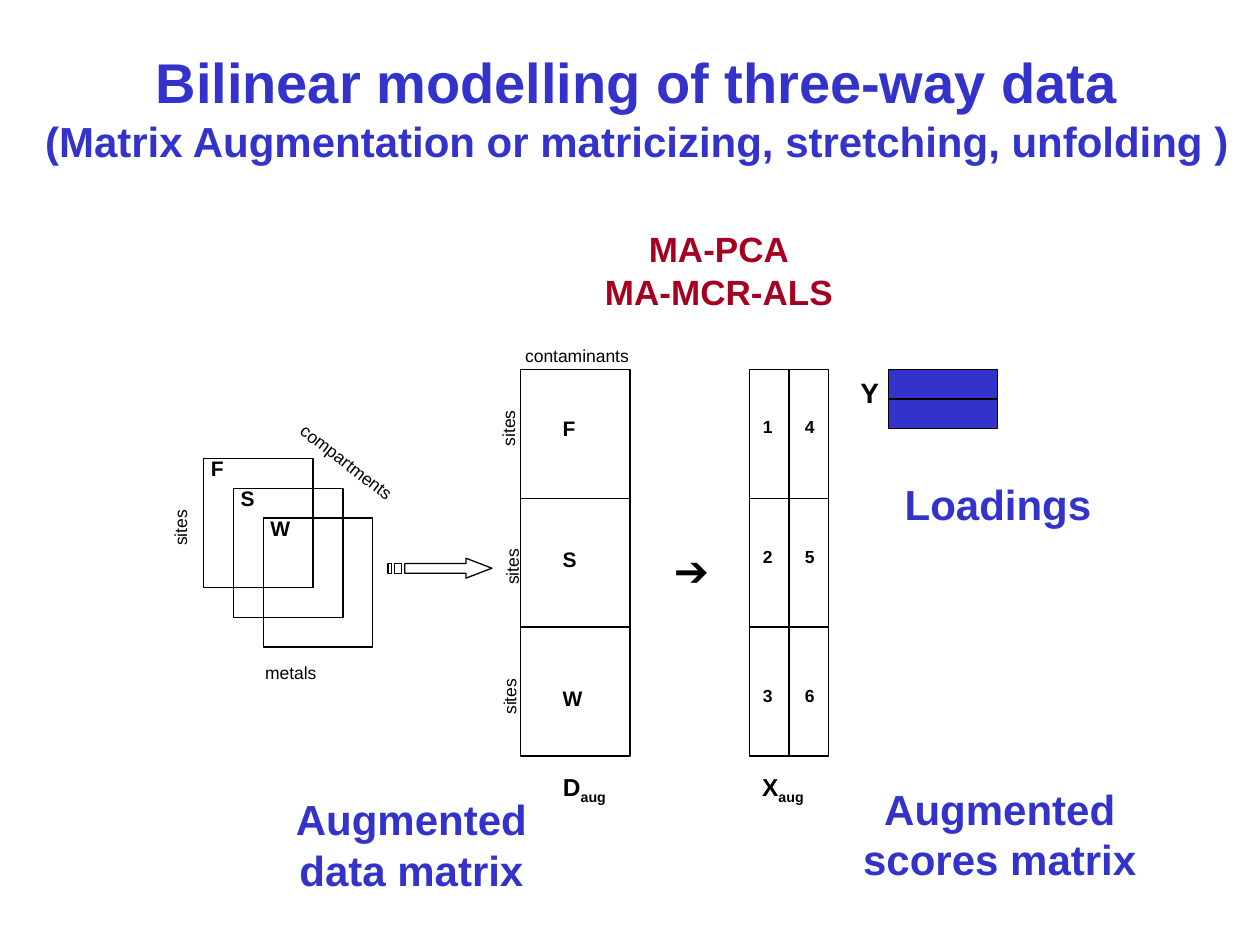
from pptx import Presentation
from pptx.dml.color import RGBColor
from pptx.enum.shapes import MSO_CONNECTOR, MSO_SHAPE
from pptx.enum.text import MSO_AUTO_SIZE, PP_ALIGN
from pptx.oxml.ns import qn
from pptx.util import Pt
from lxml.etree import SubElement

BLACK = RGBColor(0x00, 0x00, 0x00)
BLUE = RGBColor(0x33, 0x33, 0xCC)
CRIMSON = RGBColor(0xA5, 0x00, 0x21)

CELL_WIDTH, CELL_HEIGHT = 62.6, 73.7
LABEL_OFFSETS = (23, 24, 29.6)  # label tops below the top of each block


def add_text(slide, box, lines, size, color=BLACK, bold=True, align=PP_ALIGN.LEFT,
             wrap=True, rotation=0):
    """Place one paragraph per line; return the paragraphs."""
    shape = slide.shapes.add_textbox(*map(Pt, box))
    shape.rotation = rotation
    frame = shape.text_frame
    frame.text = lines
    frame.word_wrap = wrap
    frame.auto_size = MSO_AUTO_SIZE.SHAPE_TO_FIT_TEXT
    for paragraph in frame.paragraphs:
        paragraph.alignment = align
        font = paragraph.font
        font.name, font.size, font.bold = "Arial", Pt(size), bold
        font.color.rgb = color
    return frame.paragraphs


def add_caption(slide, box, lines):
    add_text(slide, box, lines, 24, BLUE, align=PP_ALIGN.CENTER, wrap=False)


def add_axis_label(slide, box, text, rotation=0):
    add_text(slide, box, text, 10, bold=False, rotation=rotation)


def add_matrix_name(slide, left, top, letter):
    paragraph = add_text(slide, (left, top, 45.4, 26.6), letter, 14)[0]
    subscript = paragraph.add_run()
    subscript.text = "aug"
    subscript.font._element.set("baseline", "-25000")


def style_outline(shape, fill=None):
    shape.shadow.inherit = False
    if fill is None:
        shape.fill.background()
    else:
        shape.fill.solid()
        shape.fill.fore_color.rgb = fill
    shape.line.color.rgb = BLACK
    shape.line.width = Pt(0.75)


def add_block(slide, left, top, width, height, fill=None):
    shape = slide.shapes.add_shape(
        MSO_SHAPE.RECTANGLE, Pt(left), Pt(top), Pt(width), Pt(height))
    style_outline(shape, fill)


def add_title(slide, box):
    paragraphs = add_text(
        slide, box,
        "Bilinear modelling of three-way data\n"
        "(Matrix Augmentation or matricizing, stretching, unfolding )",
        32, BLUE, align=PP_ALIGN.CENTER, wrap=False)
    paragraphs[1].font.size = Pt(24)


def add_methods(slide, box):
    paragraphs = add_text(slide, box, "MA-PCA\nMA-MCR-ALS", 20, CRIMSON,
                          align=PP_ALIGN.CENTER)
    for paragraph in paragraphs:
        paragraph.line_spacing = 0.5
    paragraphs[1].space_before = Pt(12.5)


def add_data_cube(slide, left, top):
    """Three overlapping slabs with the names of the three ways."""
    step = 17
    for index, letter in enumerate("FSW"):
        x, y = left + index * step, top + index * step
        add_block(slide, x, y, CELL_WIDTH, CELL_HEIGHT)
        add_text(slide, (x - 3, y - 5, 23, 21.6), letter, 12)
    add_axis_label(slide, (left + 28, top + 113, 90.7, 19.4), "metals")
    add_axis_label(slide, (left + 40.4, top, 102.2, 19.4), "compartments", 37.7)
    add_axis_label(slide, (left - 36, top + 24.5, 45.4, 19.4), "sites", 270)


def add_striped_arrow(slide, left, top):
    """Hollow arrow with two stripes at its tail."""
    arrow = [(9.5, 3), (44.5, 3), (44.5, 0), (59.3, 5.7), (44.5, 11.4),
             (44.5, 8.6), (9.5, 8.6)]
    stripes = [[(x1, 3), (x2, 3), (x2, 8.6), (x1, 8.6)]
               for x1, x2 in ((0, 2), (3.8, 7.5))]
    builder = None
    for outline in [arrow, *stripes]:
        points = [(Pt(left + x), Pt(top + y)) for x, y in outline]
        if builder is None:
            builder = slide.shapes.build_freeform(*points[0])
        else:
            builder.move_to(*points[0])
        builder.add_line_segments(points[1:], close=True)
    style_outline(builder.convert_to_shape())


def add_stacked_matrix(slide, left, top, width, columns, label_lefts, label_size):
    """Blocks stacked in columns, each with a label."""
    for column, labels in enumerate(columns):
        x = left + column * width
        for row, label in enumerate(labels):
            y = top + row * CELL_HEIGHT
            add_block(slide, x, y, width, CELL_HEIGHT)
            add_text(slide, (x + label_lefts[column], y + LABEL_OFFSETS[row], 23, 20),
                     label, label_size)


def add_data_matrix(slide, left, top):
    add_stacked_matrix(slide, left, top, CELL_WIDTH, ["FSW"], [17], 12)
    add_axis_label(slide, (left - 4.4, top - 17.3, 90.7, 19.4), "contaminants")
    for row, (dx, dy) in enumerate([(-26.7, 21.6), (-24.5, 27), (-26, 27.5)]):
        add_axis_label(slide, (left + dx, top + row * CELL_HEIGHT + dy, 39.6, 19.4),
                       "sites", 270)
    add_matrix_name(slide, left + 17.2, top + 226.8, "D")
    add_caption(slide, (162, 450, 146.2, 64.8), "Augmented\ndata matrix")


def add_scores_matrix(slide, left, top):
    add_stacked_matrix(slide, left, top, 22.5, ["123", "456"], [0.4, 2], 10)
    add_matrix_name(slide, left, top + 226.8, "X")
    add_caption(slide, (486, 444.2, 170.6, 64.8), "Augmented\nscores matrix")


def add_loadings(slide, left, top):
    height = 34
    add_block(slide, left, top, CELL_WIDTH, height, BLUE)
    middle = Pt(top + height / 2)
    divider = slide.shapes.add_connector(
        MSO_CONNECTOR.STRAIGHT, Pt(left), middle, Pt(left + CELL_WIDTH), middle)
    divider.line.color.rgb = BLACK
    divider.line.width = Pt(0.75)
    SubElement(divider._element.spPr, qn("a:effectLst"))
    add_text(slide, (left - 23, top, 33.8, 26.6), "Y", 16)
    add_caption(slide, (left + 2.2, top + 59, 121, 36), "Loadings")


def main():
    presentation = Presentation()
    presentation.slide_width, presentation.slide_height = Pt(720), Pt(540)
    slide = presentation.slides.add_slide(presentation.slide_layouts[6])

    # Headings
    add_title(slide, (18, 23.8, 692, 74.9))
    add_methods(slide, (311.8, 136.8, 198, 43.9))

    # Three-way data unfolded into one matrix
    add_data_cube(slide, 116.4, 262)
    add_striped_arrow(slide, 221.8, 319)
    add_data_matrix(slide, 297.4, 211)

    # Bilinear decomposition
    add_text(slide, (378, 307.4, 67, 36), "➔", 24, bold=False)
    add_scores_matrix(slide, 428.4, 211)
    add_loadings(slide, 507.6, 211)

    presentation.save("out.pptx")


if __name__ == "__main__":
    main()
